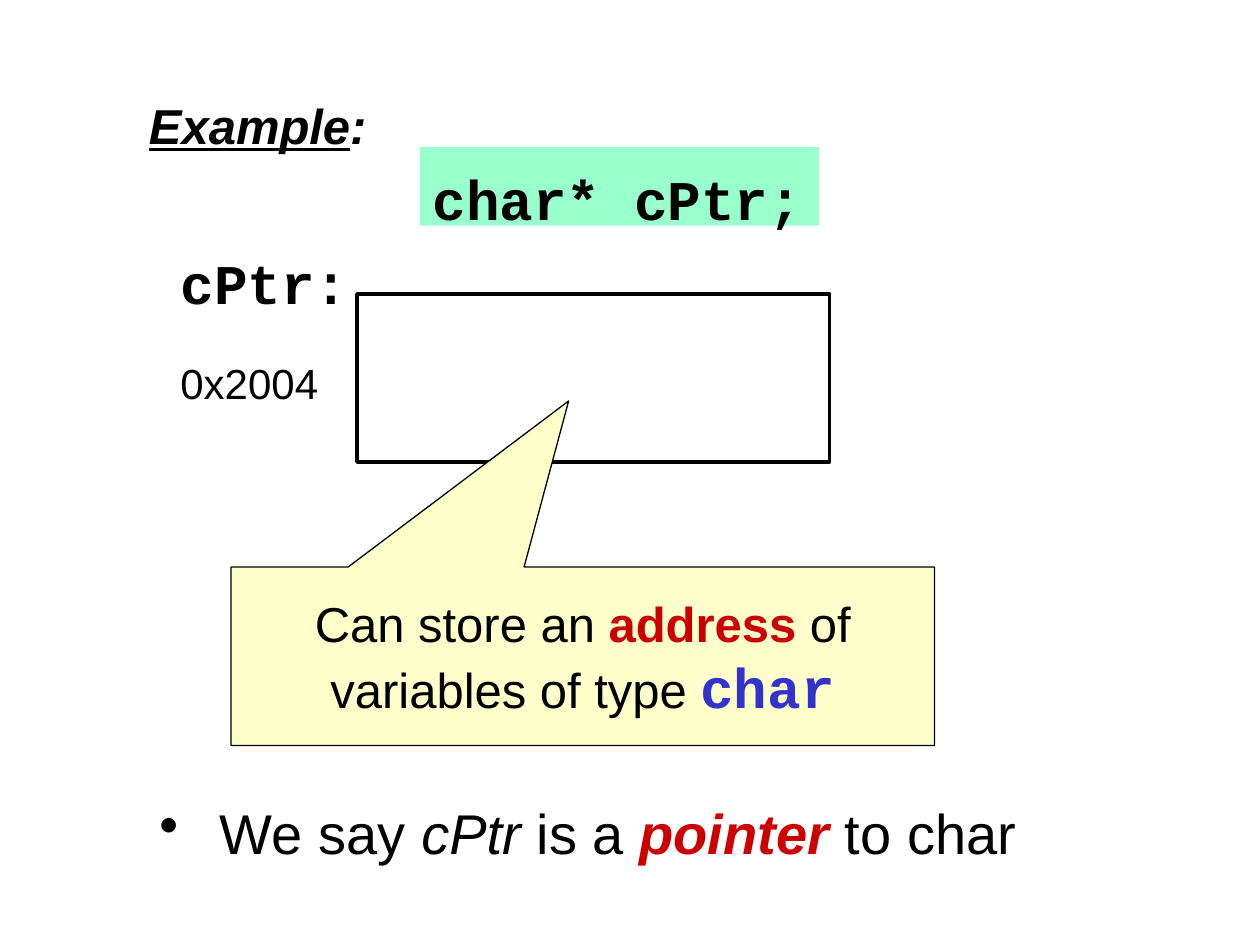
import pptx
import pptx.dml.color
import pptx.enum.shapes
import pptx.enum.text
import pptx.oxml
import pptx.util

RGBColor = pptx.dml.color.RGBColor
BLACK = RGBColor(0x00, 0x00, 0x00)
RED = RGBColor(0xCC, 0x00, 0x00)
BLUE = RGBColor(0x33, 0x33, 0xCC)
MINT = RGBColor(0x99, 0xFF, 0xCC)
CREAM = RGBColor(0xFF, 0xFF, 0xCC)
SHAPE = pptx.enum.shapes.MSO_SHAPE
ANCHOR = pptx.enum.text.MSO_ANCHOR
ALIGN = pptx.enum.text.PP_ALIGN

deck = pptx.Presentation()
deck.slide_width = pptx.util.Inches(10)
deck.slide_height = pptx.util.Inches(7.5)
page = deck.slides.add_slide(deck.slide_layouts[6])

# Grid of 120 columns by 90 rows
CELL = deck.slide_width // 120


def add_box(column, row, columns, rows, preset=None, fill=None, line=None):
    """Add a text box, or a preset shape, placed on the grid."""
    place = [round(cells * CELL) for cells in (column, row, columns, rows)]
    if preset is None:
        box = page.shapes.add_textbox(*place)
    else:
        box = page.shapes.add_shape(preset, *place)
        box.shadow.inherit = False
    if fill is None:
        box.fill.background()
    else:
        box.fill.solid()
        box.fill.fore_color.rgb = fill
    if line is None:
        box.line.fill.background()
    else:
        box.line.color.rgb = BLACK
        box.line.width = pptx.util.Pt(line)
    box.text_frame.word_wrap = True
    box.text_frame.vertical_anchor = ANCHOR.TOP
    box.text_frame.paragraphs[0].alignment = ALIGN.LEFT
    return box


def write(box, text, size=32, face="Arial", color=BLACK, bold=False,
          italic=False, underline=False):
    """Append one formatted span to the first paragraph of a box."""
    span = box.text_frame.paragraphs[0].add_run()
    span.text = text
    span.font.size = pptx.util.Pt(size)
    span.font.name = face
    span.font.color.rgb = color
    span.font.bold = bold
    span.font.italic = italic
    span.font.underline = underline


code = {"face": "Courier New", "bold": True}
code_inset = pptx.util.Inches(0.14)
text_inset = pptx.util.Inches(0.09)

# Memory cell
add_box(34, 28, 45, 16, SHAPE.RECTANGLE, line=2)

# Variable name and declaration
name = add_box(16, 22, 21, 7.5)
write(name, "cPtr:", **code)
declaration = add_box(40, 14, 38, 7.5, SHAPE.RECTANGLE, fill=MINT)
write(declaration, "char* cPtr;", **code)
for box in (name, declaration):
    box.text_frame.margin_top = code_inset

# Heading
heading = add_box(13, 8, 27, 7)
write(heading, "Example", size=28, bold=True, italic=True, underline=True)
write(heading, ":", size=28, bold=True, italic=True)

# Bulleted conclusion
conclusion = add_box(14, 75, 89, 7.5)
properties = conclusion.text_frame.paragraphs[0]._p.get_or_add_pPr()
indent = pptx.util.Inches(0.48)
properties.set("marL", str(indent))
properties.set("indent", str(-indent))
properties.append(pptx.oxml.parse_xml(
    '<a:buChar xmlns:a="http://schemas.openxmlformats.org/drawingml/2006/main"'
    ' char="•"/>'))
write(conclusion, "We say ")
write(conclusion, "cPtr ", italic=True)
write(conclusion, "is a ")
write(conclusion, "pointer", color=RED, bold=True, italic=True)
write(conclusion, " to char")

# Address label
address = add_box(16, 33, 20, 6)
write(address, "0x2004", size=24)

for box in (heading, conclusion, address):
    box.text_frame.margin_top = text_inset

# Callout pointing into the memory cell
callout = add_box(22, 54, 67, 17, SHAPE.RECTANGULAR_CALLOUT,
                  fill=CREAM, line=0.75)
callout.adjustments[0] = -0.02
callout.adjustments[1] = -1.43
callout.text_frame.vertical_anchor = ANCHOR.MIDDLE
callout.text_frame.paragraphs[0].alignment = ALIGN.CENTER
write(callout, "Can store an ", size=28)
write(callout, "address", size=28, color=RED, bold=True)
write(callout, " of variables of type ", size=28)
write(callout, "char", color=BLUE, **code)

deck.save("out.pptx")
